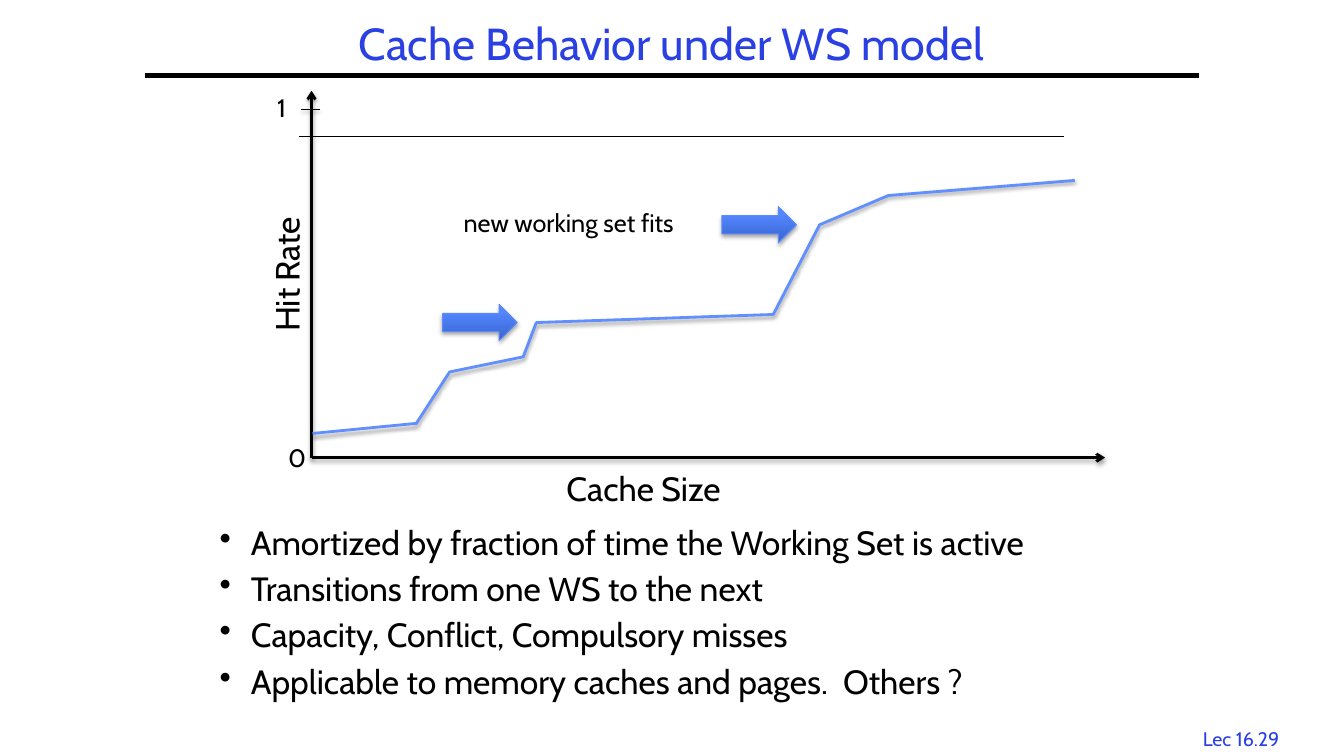
"""Builds the slide on cache behavior under the working set model."""
from lxml.etree import SubElement
from pptx import Presentation
from pptx.dml.color import RGBColor
from pptx.enum.shapes import MSO_CONNECTOR, MSO_SHAPE
from pptx.enum.text import MSO_ANCHOR, PP_ALIGN
from pptx.oxml.ns import qn
from pptx.util import Inches, Pt

COLORS = {
    "black": "000000", "title": "2A40E2", "curve": "618FFD",
    "arrow_edge": "5B8AFB", "arrow_dark": "3764CE", "arrow_light": "5487FF",
}
ORIGIN = (3.09, 4.54)
CURVE = [(3.1, 4.3), (4.13, 4.2), (4.46, 3.69), (5.19, 3.54), (5.32, 3.2),
         (7.67, 3.12), (8.13, 2.23), (8.81, 1.94), (10.66, 1.79)]
LABELS = [
    ("Cache Size", (5.52, 4.59, 1.93, 0.5), 24, 0),
    ("Hit Rate", (2.13, 2.43, 1.42, 0.5), 24, 270),
    ("new working set fits", (4.5, 2.01, 2.4, 0.4), 18, 0),
    ("0", (2.76, 4.34, 0.34, 0.4), 18, 0),
    ("1", (2.65, 0.87, 0.34, 0.4), 18, 0),
]
BULLETS = [
    "Amortized by fraction of time the Working Set is active",
    "Transitions from one WS to the next",
    "Capacity, Conflict, Compulsory misses",
    "Applicable to memory caches and pages.  Others ?",
]


class SlideBuilder:
    """Holds the style and the current slide."""

    font = "Cabin"

    def __init__(self, slide):
        self.slide = slide

    def rgb(self, name):
        return RGBColor.from_string(COLORS[name])

    def effects(self, sp, shadow=True, dist=1.6, alpha=38):
        spPr = sp._element.spPr
        lst = spPr.find(qn("a:effectLst"))
        if lst is None:
            lst = SubElement(spPr, qn("a:effectLst"))
        if shadow:
            outer = SubElement(lst, qn("a:outerShdw"), blurRad=str(Pt(3.1)),
                               dist=str(Pt(dist)), dir="5400000", rotWithShape="0")
            clr = SubElement(outer, qn("a:srgbClr"), val=COLORS["black"])
            SubElement(clr, qn("a:alpha"), val=str(alpha * 1000))

    def line(self, start, end, width, head=False, shadow=True):
        points = [Inches(v) for v in (*start, *end)]
        sp = self.slide.shapes.add_connector(MSO_CONNECTOR.STRAIGHT, *points)
        sp.line.color.rgb = self.rgb("black")
        sp.line.width = Pt(width)
        if head:
            SubElement(sp.line._get_or_add_ln(), qn("a:tailEnd"), type="arrow")
        self.effects(sp, shadow)

    def text(self, lines, box, size, color="black", align=PP_ALIGN.LEFT,
             wrap=False, anchor=MSO_ANCHOR.TOP, spacing=None, bullet=False, rotation=0):
        sp = self.slide.shapes.add_textbox(*[Inches(v) for v in box])
        sp.rotation = rotation
        tf = sp.text_frame
        tf.word_wrap = wrap
        tf.vertical_anchor = anchor
        tf.text = "\n".join(lines)
        for i, p in enumerate(tf.paragraphs):
            p.alignment = align
            if spacing:
                p.line_spacing = spacing
            if bullet:
                p.space_before = Pt(size * 0.3 if i else 0)
                pPr = p._p.get_or_add_pPr()
                pPr.set("marL", str(Inches(0.31)))
                pPr.set("indent", str(-Inches(0.31)))
                SubElement(pPr, qn("a:buChar"), char="•")
            for r in p.runs:
                r.font.name = self.font
                r.font.size = Pt(size)
                r.font.color.rgb = self.rgb(color)

    def curve(self, points):
        first, *rest = [(Inches(x), Inches(y)) for x, y in points]
        builder = self.slide.shapes.build_freeform(*first)
        builder.add_line_segments(rest, close=False)
        sp = builder.convert_to_shape()
        sp.shadow.inherit = False
        sp.fill.background()
        sp.line.color.rgb = self.rgb("curve")
        sp.line.width = Pt(2)
        self.effects(sp)

    def block_arrow(self, left, top):
        box = [Inches(v) for v in (left, top, 0.74, 0.36)]
        sp = self.slide.shapes.add_shape(MSO_SHAPE.RIGHT_ARROW, *box)
        sp.shadow.inherit = False
        sp.fill.gradient()
        sp.fill.gradient_angle = 90
        stops = ((0, "arrow_dark"), (0.8, "arrow_light"))
        for stop, (position, color) in zip(sp.fill.gradient_stops, stops):
            stop.position = position
            stop.color.rgb = self.rgb(color)
        sp.line.color.rgb = self.rgb("arrow_edge")
        sp.line.width = Pt(0.75)
        self.effects(sp, dist=1.8, alpha=35)


def main():
    prs = Presentation()
    prs.slide_width, prs.slide_height = Inches(13.33), Inches(7.5)
    s = SlideBuilder(prs.slides.add_slide(prs.slide_layouts[6]))

    s.text(["Lec 16.29"], (11.77, 7.16, 1.08, 0.33), 14, "title", PP_ALIGN.CENTER)
    s.line((1.44, 0.75), (11.89, 0.75), 3, shadow=False)
    s.text(["Cache Behavior under WS model"], (1.44, 0.17, 10.44, 0.58), 32, "title",
           PP_ALIGN.CENTER, wrap=True, anchor=MSO_ANCHOR.MIDDLE, spacing=0.9)
    s.text(BULLETS, (2.08, 5.17, 9, 1.66), 24, wrap=True, spacing=0.9, bullet=True)

    for end in ((10.96, ORIGIN[1]), (ORIGIN[0], 0.9)):
        s.line(ORIGIN, end, 2, head=True)
    s.curve(CURVE)
    for corner in ((7.16, 2.05), (4.39, 3.02)):
        s.block_arrow(*corner)
    for left, right, y in ((2.97, 10.55, 1.35), (2.99, 3.17, 1.09)):
        s.line((right, y), (left, y), 0.75)
    for label, box, size, rotation in LABELS:
        s.text([label], box, size, rotation=rotation)

    prs.save("out.pptx")


if __name__ == "__main__":
    main()
